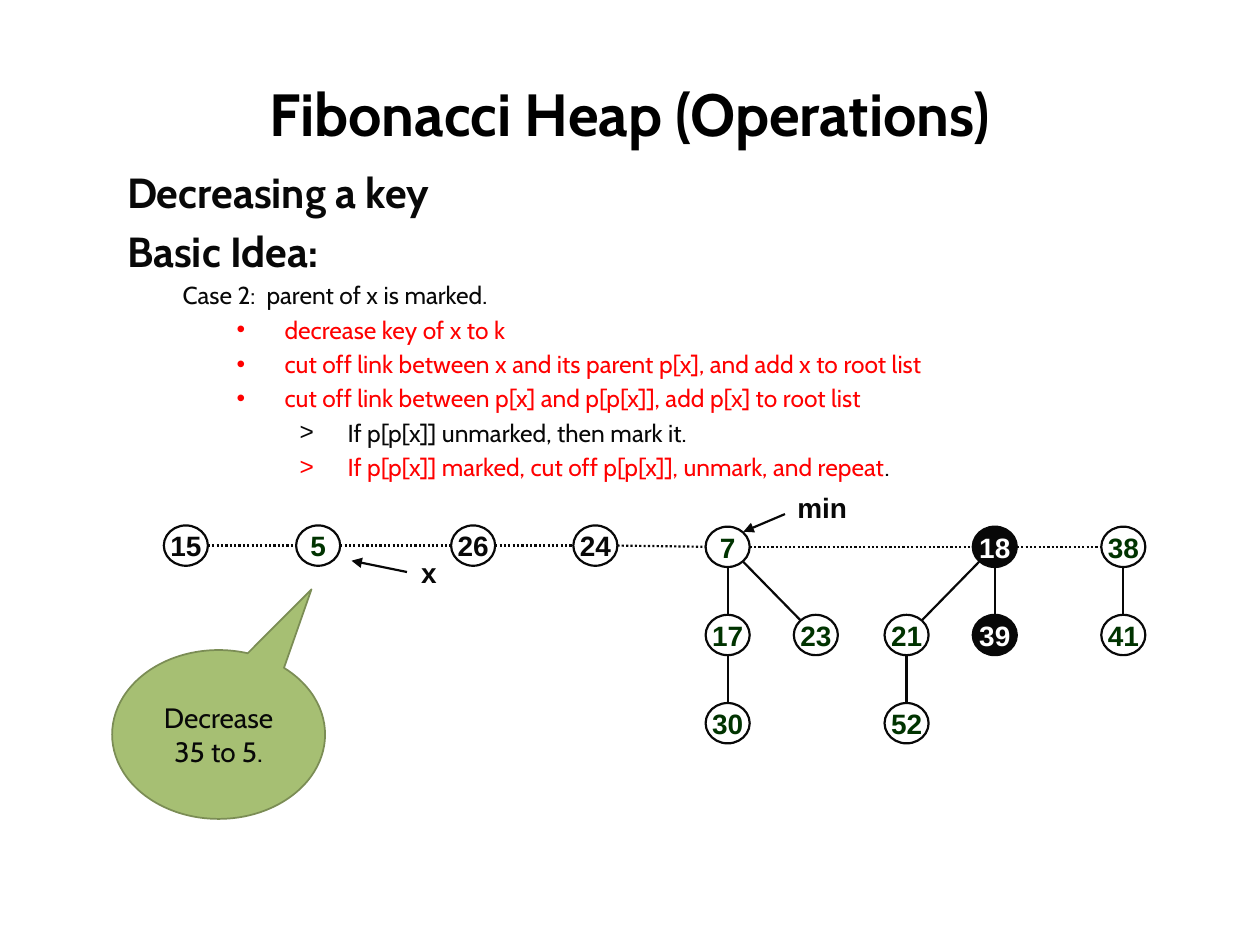
"""Build the slide on decreasing a key in a Fibonacci heap."""
from dataclasses import dataclass
from itertools import pairwise
from typing import Optional

from pptx import Presentation
from pptx.dml.color import RGBColor
from pptx.enum.dml import MSO_LINE
from pptx.enum.shapes import MSO_CONNECTOR, MSO_SHAPE
from pptx.enum.text import MSO_ANCHOR, PP_ALIGN
from pptx.oxml.ns import qn
from pptx.util import Inches, Pt
from lxml.etree import SubElement

COLORS = {"black": "000000", "ink": "080808", "red": "FF0000", "green": "003300",
          "white": "FFFFFF", "bubble": "A6BF73", "rim": "7B8D55"}
NODE_W, NODE_H = 0.35, 0.32


@dataclass(frozen=True)
class Node:
    key: str
    left: float
    top: float
    color: str = "green"
    fill: Optional[str] = "white"
    outlined: bool = True


@dataclass(frozen=True)
class Line:
    text: str
    size: int = 14
    color: str = "ink"
    bold: bool = False
    margin: float = 0
    bullet: str = ""
    tail: str = ""
    spacing: float = 1.0


ROOTS = [
    Node("15", 1.3, 4.17, "ink"), Node("5", 2.35, 4.17), Node("26", 3.58, 4.17, "ink"),
    Node("24", 4.55, 4.17, "ink"), Node("7", 5.6, 4.18),
    Node("18", 7.72, 4.18, "white", "ink"), Node("38", 8.74, 4.18),
]
DESCENDANTS = [
    Node("17", 5.6, 4.88), Node("23", 6.3, 4.88), Node("30", 5.6, 5.58),
    Node("21", 7.02, 4.88), Node("52", 7.02, 5.58),
    Node("39", 7.72, 4.88, "white", "ink"), Node("41", 8.74, 4.88),
]
POINTERS = [Node("x", 3.23, 4.38, "ink", None, False),
            Node("min", 6.35, 3.87, "ink", None, False)]
CHILDREN = {"7": ["17", "23"], "17": ["30"], "18": ["21", "39"], "21": ["52"], "38": ["41"]}
OUTLINE = [
    Line("Decreasing a key", 24, bold=True, spacing=1.5),
    Line("Basic Idea:", 24, bold=True),
    Line("Case 2:  parent of x is marked.", margin=0.44),
    Line("decrease key of x to k", color="red", margin=1.25, bullet="•"),
    Line("cut off link between x and its parent p[x], and add x to root list",
         color="red", margin=1.25, bullet="•"),
    Line("cut off link between p[x] and p[p[x]], add p[x] to root list",
         color="red", margin=1.25, bullet="•"),
    Line("If p[p[x]] unmarked, then mark it.", margin=1.75, bullet=">"),
    Line("If p[p[x]] marked, cut off p[p[x]], unmark, and repeat",
         color="red", margin=1.75, bullet=">", tail="."),
]


def rgb(name: str) -> RGBColor:
    return RGBColor.from_string(COLORS[name])


def style(run, size: float, color: str, bold: bool = False, face: str = "Cabin") -> None:
    run.font.size, run.font.bold, run.font.name = Pt(size), bold, face
    run.font.color.rgb = rgb(color)


def put_text(frame, text: str, size: float, color: str, bold: bool, face: str) -> None:
    frame.text = text
    frame.vertical_anchor = MSO_ANCHOR.MIDDLE
    frame.paragraphs[0].alignment = PP_ALIGN.CENTER
    style(frame.paragraphs[0].runs[0], size, color, bold, face)


def draw_node(slide, node: Node) -> None:
    oval = slide.shapes.add_shape(MSO_SHAPE.OVAL, Inches(node.left), Inches(node.top),
                                  Inches(NODE_W), Inches(NODE_H))
    oval.shadow.inherit = False
    if node.fill:
        oval.fill.solid()
        oval.fill.fore_color.rgb = rgb(node.fill)
    else:
        oval.fill.background()
    if node.outlined:
        oval.line.color.rgb = rgb("ink")
        oval.line.width = Pt(1.25)
    else:
        oval.line.fill.background()
    oval.text_frame.word_wrap = False
    put_text(oval.text_frame, node.key, 16, node.color, True, "Arial")


def draw_link(slide, x1: float, y1: float, x2: float, y2: float,
              dotted: bool = False, arrow: bool = False) -> None:
    link = slide.shapes.add_connector(MSO_CONNECTOR.STRAIGHT, Inches(x1), Inches(y1),
                                      Inches(x2), Inches(y2))
    link.line.color.rgb = rgb("ink")
    link.line.width = Pt(1.25)
    if dotted:
        link.line.dash_style = MSO_LINE.ROUND_DOT
    if arrow:
        SubElement(link.line._get_or_add_ln(), qn("a:headEnd"), type="triangle")
    SubElement(link._element.spPr, qn("a:effectLst"))


def link_child(slide, parent: Node, child: Node) -> None:
    if parent.left == child.left:
        middle = parent.left + NODE_W / 2
        draw_link(slide, middle, parent.top + NODE_H, middle, child.top)
        return
    start, end = (0.3, 0.05) if child.left > parent.left else (0.05, 0.3)
    draw_link(slide, parent.left + start, parent.top + 0.28, child.left + end, child.top + 0.04)


def write_line(paragraph, line: Line) -> None:
    paragraph.text = line.text
    paragraph.alignment = PP_ALIGN.JUSTIFY
    paragraph.line_spacing = line.spacing
    paragraph.space_before = Pt(line.size * 0.2)
    style(paragraph.runs[0], line.size, line.color, line.bold)
    if line.tail:
        tail = paragraph.add_run()
        tail.text = line.tail
        style(tail, line.size, "ink")
    props = paragraph._p.get_or_add_pPr()
    props.set("marL", str(Inches(line.margin)))
    props.set("indent", str(Inches(-0.38 if line.bullet else 0)))
    if line.bullet:
        SubElement(props, qn("a:buFont"), typeface="Arial")
        SubElement(props, qn("a:buChar"), char=line.bullet)


def build() -> None:
    deck = Presentation()
    deck.slide_width, deck.slide_height = Inches(10), Inches(7.5)
    slide = deck.slides.add_slide(deck.slide_layouts[6])

    title = slide.shapes.add_textbox(Inches(0.5), Inches(0.5), Inches(9), Inches(0.79))
    title.text_frame.word_wrap = True
    put_text(title.text_frame, "Fibonacci Heap (Operations)", 34, "black", True, "Cabin")

    body = slide.shapes.add_textbox(Inches(0.91), Inches(1.07), Inches(8.39), Inches(5.59))
    body.text_frame.word_wrap = True
    for index, line in enumerate(OUTLINE):
        frame = body.text_frame
        write_line(frame.add_paragraph() if index else frame.paragraphs[0], line)

    heap = {node.key: node for node in ROOTS + DESCENDANTS}
    for left, right in pairwise(ROOTS):
        draw_link(slide, left.left + NODE_W, left.top + NODE_H / 2,
                  right.left, right.top + NODE_H / 2, dotted=True)
    for parent, children in CHILDREN.items():
        for child in children:
            link_child(slide, heap[parent], heap[child])
    for node in ROOTS + DESCENDANTS + POINTERS:
        draw_node(slide, node)
    draw_link(slide, 5.9, 4.22, 6.23, 4.08, arrow=True)
    draw_link(slide, 2.79, 4.45, 3.23, 4.54, arrow=True)

    callout = slide.shapes.add_shape(MSO_SHAPE.OVAL_CALLOUT, Inches(0.89), Inches(5.16),
                                     Inches(1.69), Inches(1.34))
    callout.adjustments[0], callout.adjustments[1] = 0.436, -0.86
    callout.shadow.inherit = False
    callout.fill.solid()
    callout.fill.fore_color.rgb = rgb("bubble")
    callout.line.color.rgb = rgb("rim")
    callout.line.width = Pt(1)
    callout.text_frame.word_wrap = True
    put_text(callout.text_frame, "Decrease 35 to 5.", 16, "ink", False, "Cabin")

    deck.save("out.pptx")


build()
